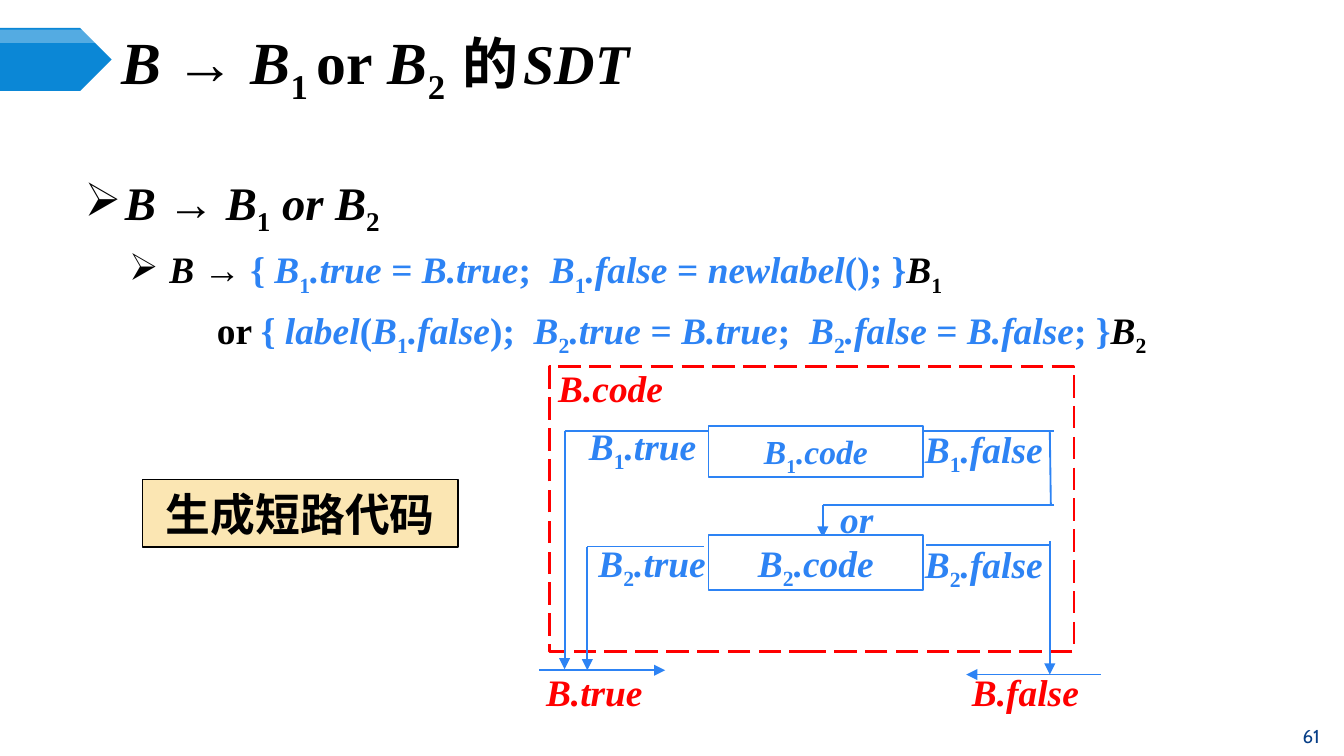
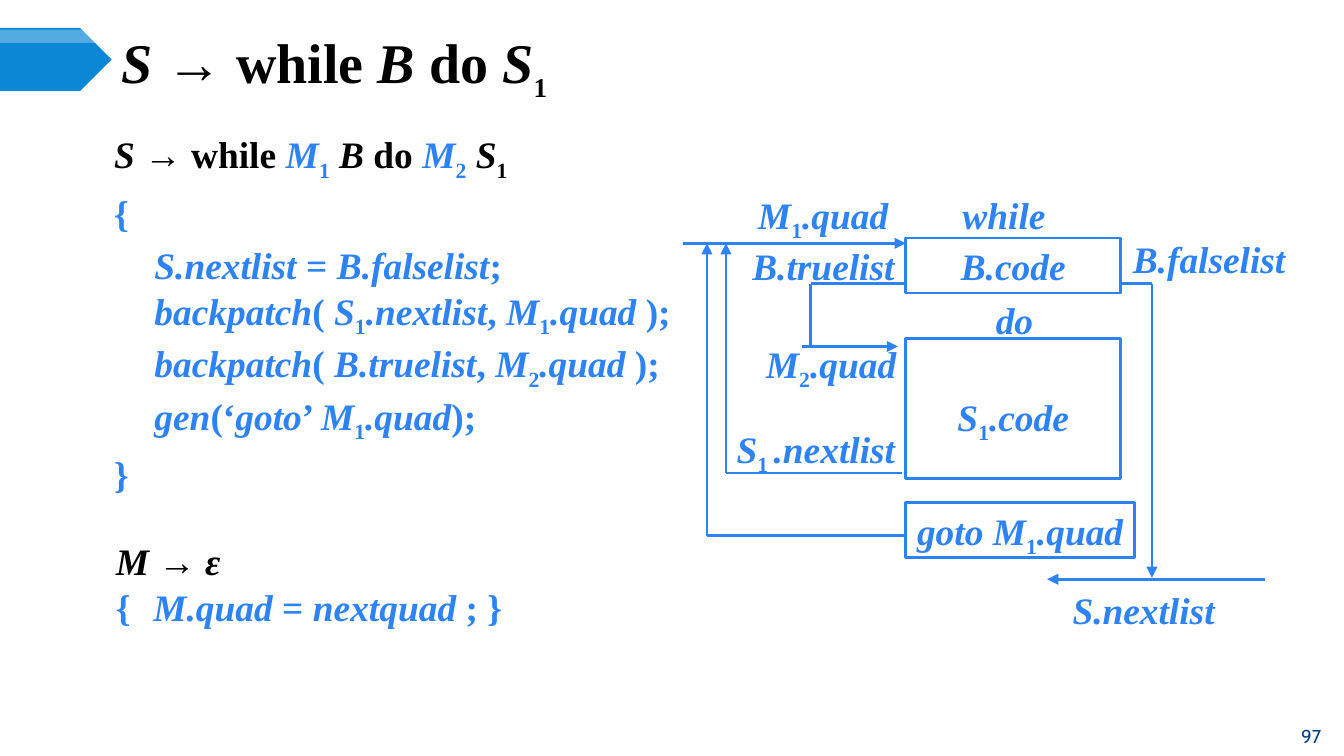
from lxml import etree
from pptx import Presentation
from pptx.dml.color import RGBColor
from pptx.enum.dml import MSO_LINE
from pptx.enum.shapes import MSO_CONNECTOR, MSO_SHAPE
from pptx.enum.text import MSO_ANCHOR, MSO_AUTO_SIZE, PP_ALIGN
from pptx.oxml.ns import qn
from pptx.util import Cm, Pt

LEFT, CENTER, RIGHT, JUSTIFY = PP_ALIGN.LEFT, PP_ALIGN.CENTER, PP_ALIGN.RIGHT, PP_ALIGN.JUSTIFY
TOP, MIDDLE = MSO_ANCHOR.TOP, MSO_ANCHOR.MIDDLE
NO_AUTOSIZE = MSO_AUTO_SIZE.NONE
RECTANGLE, PENTAGON = MSO_SHAPE.RECTANGLE, MSO_SHAPE.PENTAGON
STRAIGHT = MSO_CONNECTOR.STRAIGHT
LONG_DASH = MSO_LINE.LONG_DASH

SERIF, SANS, CJK, FOOTER = "Times New Roman", "Arial", "Noto Sans CJK SC", "Cabin"
COLORS = {
    "text": "000000",
    "accent": "2D83F4",
    "exit": "FF0000",
    "band": "0B87D6",
    "white": "FFFFFF",
    "callout": "FBE6B3",
    "page": "073E87",
}


def rgb(name):
    return RGBColor.from_string(COLORS[name])


def write(paragraph, markup, size, color="text", font=SERIF, bold=True, align=LEFT, drop=25):
    """Write markup where / toggles italic, ~ subscript and | the accent colour."""
    paragraph.alignment = align
    paragraph.font.name = font
    paragraph.font.size = Pt(size)
    paragraph.font.bold = bold
    paragraph.font.color.rgb = rgb(color)
    active = {"/": False, "~": False, "|": False}
    piece = ""

    def flush():
        if not piece:
            return
        run = paragraph.add_run()
        run.text = piece
        if active["/"]:
            run.font.italic = True
        if active["~"]:
            run._r.get_or_add_rPr().set("baseline", str(-1000 * drop))
        if active["|"]:
            run.font.color.rgb = rgb("accent")

    for char in markup:
        if char in active:
            flush()
            piece = ""
            active[char] = not active[char]
        else:
            piece += char
    flush()


def indent(paragraph, margin, first=0.0, bullet=None):
    properties = paragraph._p.get_or_add_pPr()
    properties.set("marL", str(Cm(margin)))
    properties.set("indent", str(Cm(first)))
    if bullet:
        etree.SubElement(properties, qn("a:buChar")).set("char", bullet)


def set_frame(shape, anchor=TOP, top_inset=0.1):
    frame = shape.text_frame
    frame.word_wrap = True
    frame.auto_size = NO_AUTOSIZE
    frame.vertical_anchor = anchor
    frame.margin_left = frame.margin_right = Cm(0.18)
    frame.margin_top, frame.margin_bottom = Cm(top_inset), Cm(0.1)
    return frame


def add_text_frame(slide, box, anchor=TOP):
    return set_frame(slide.shapes.add_textbox(*map(Cm, box)), anchor)


def add_block(slide, kind, box, fill=None, line=None, width=1.0):
    block = slide.shapes.add_shape(kind, *map(Cm, box))
    block.shadow.inherit = False
    if fill:
        block.fill.solid()
        block.fill.fore_color.rgb = rgb(fill)
    else:
        block.fill.background()
    if line:
        block.line.color.rgb = rgb(line)
        block.line.width = Pt(width)
    else:
        block.line.fill.background()
    return block


def add_base(prs, title_markup, title_size, page, drop=25):
    """Add a slide with its band, title and page number; return slide and title paragraph."""
    slide = prs.slides.add_slide(prs.slide_layouts[5])
    add_block(slide, PENTAGON, (0, 0.53, 2.11, 1.19), "band")
    gloss = add_block(slide, PENTAGON, (0, 0.56, 2.11, 0.25), "white")
    tint = gloss._element.spPr.find(qn("a:solidFill"))[0]
    etree.SubElement(tint, qn("a:alpha")).set("val", "30000")

    title = slide.shapes.title
    title.left, title.top, title.width, title.height = map(Cm, (2.11, 0.74, 22.02, 0.99))
    heading = set_frame(title, MIDDLE).paragraphs[0]
    write(heading, title_markup, title_size, drop=drop)

    number = add_text_frame(slide, (24.21, 13.54, 1.14, 0.76), MIDDLE)
    write(number.paragraphs[0], page, 10, "page", FOOTER, False, CENTER)
    return slide, heading


def add_flow(slide, origin, lines, labels, nodes, width):
    """Draw flow lines, labels and code boxes at cm offsets from the origin."""
    left, top = origin
    for x1, y1, x2, y2, arrow in lines:
        ends = (left + x1, top + y1, left + x2, top + y2)
        flow = slide.shapes.add_connector(STRAIGHT, *map(Cm, ends))
        flow.line.color.rgb = rgb("accent")
        flow.line.width = Pt(width)
        if arrow:
            etree.SubElement(flow.line._get_or_add_ln(), qn("a:tailEnd")).set("type", "triangle")
        etree.SubElement(flow._element.spPr, qn("a:effectLst"))
    for markup, x, y, w, color, align in labels:
        frame = add_text_frame(slide, (left + x, top + y, w, 1.04))
        write(frame.paragraphs[0], markup, 20, color, align=align)
    for markup, x, y, w, h, size, inset in nodes:
        node = add_block(slide, RECTANGLE, (left + x, top + y, w, h), "white", "accent", width)
        frame = set_frame(node, top_inset=inset)
        write(frame.paragraphs[0], markup, size, "accent", align=CENTER)


def add_or_rules(slide, box):
    rules = [
        ("/B /→/ B/~1~/ or B/~2~", 25, 0.76, -0.76, "➢"),
        ("/B/ → |{ /B/~1~/.true /= /B.true/;  /B/~1~/.false /= /newlabel/(); }|/B/~1~",
         20, 1.6, -0.76, "➢"),
        ("or |{ /label/(/B/~1~/.false/);  /B/~2~/.true /= /B.true/;  "
         "/B/~2~/.false /= /B.false/; }|/B/~2~", 20, 2.5, 0, None),
    ]
    frame = add_text_frame(slide, box)
    for i, (markup, size, margin, first, bullet) in enumerate(rules):
        paragraph = frame.add_paragraph() if i else frame.paragraphs[0]
        if i:
            paragraph.space_before = Pt(5)
        indent(paragraph, margin, first, bullet)
        write(paragraph, markup, size)


def add_or_diagram(slide, box):
    true_exit, false_exit, inner_true = 0.28, 9.45, 0.71
    b1_y, or_y, b2_y, true_y, false_y = 1.22, 2.62, 3.4, 5.74, 5.82
    or_x = 5.16
    lines = [
        (-0.2, true_y, 2.18, true_y, True),
        (or_x, or_y, or_x, 3.23, True),
        (inner_true, b2_y, 2.92, b2_y, False),
        (9.53, or_y, or_x, or_y, False),
        (9.47, or_y, false_exit, b1_y, False),
        (true_exit, b1_y, 3.3, b1_y, False),
        (7.11, 3.38, false_exit, 3.38, False),
        (inner_true, b2_y, inner_true, true_y, True),
        (6.96, b1_y, 9.53, b1_y, False),
        (true_exit, b1_y, true_exit, 5.72, True),
        (10.41, false_y, 7.87, false_y, True),
        (false_exit, 3.3, false_exit, false_y, True),
    ]
    labels = [
        ("/B.code/", -0.02, -0.13, 2.5, "exit", LEFT),
        ("/B/~1~/.true/", 0.56, 0.97, 2.67, "accent", LEFT),
        ("/B/~1~/.false/", 6.91, 1.02, 3.25, "accent", LEFT),
        ("/or/", 5.31, 2.34, 1.04, "accent", LEFT),
        ("/B/~2~/.true/", 0.74, 3.18, 3.28, "accent", LEFT),
        ("/B/~2~/.false/", 6.91, 3.2, 3.61, "accent", LEFT),
        ("/B.true/", -0.25, 5.61, 2.84, "exit", LEFT),
        ("/B.false/", 7.8, 5.61, 3.3, "exit", LEFT),
    ]
    nodes = [
        ("/B/~1~/.code/", 3, 1.12, 4.06, 0.97, 18, 0.1),
        ("/B/~2~/.code/", 3, 3.18, 4.06, 1.04, 20, 0.1),
    ]
    outline = add_block(slide, RECTANGLE, box, None, "exit", 1.5)
    outline.line.dash_style = LONG_DASH
    add_flow(slide, box[:2], lines, labels, nodes, 1)


def add_callout(slide, box):
    callout = add_block(slide, RECTANGLE, box, "callout", "text", 0.75)
    frame = set_frame(callout, MIDDLE)
    write(frame.paragraphs[0], "生成短路代码", 24, font=SANS, align=CENTER)


def build_or_slide(prs):
    slide, heading = add_base(prs, "/B /→/ B/~1 ~or/ B/~2  ~", 32, "61")
    particle = heading.add_run()
    particle.text = "的"
    particle.font.name = CJK
    particle.font.size = Pt(30)
    particle._r.get_or_add_rPr().set("spc", "300")
    sdt = heading.add_run()
    sdt.text = "SDT"
    sdt.font.size = Pt(30)
    sdt.font.italic = True

    add_or_rules(slide, (1.42, 3.18, 21.87, 8.97))
    add_or_diagram(slide, (10.39, 6.93, 9.91, 5.38))
    add_callout(slide, (2.69, 9.07, 5.97, 1.27))


def add_rule_lines(slide, box, rules, spacing, hang):
    """Write (markup, colour, drop, nested) rules with exact line spacing in points."""
    frame = add_text_frame(slide, box)
    for i, (markup, color, drop, nested) in enumerate(rules):
        paragraph = frame.add_paragraph() if i else frame.paragraphs[0]
        indent(paragraph, hang, 0 if nested else -hang)
        paragraph.line_spacing = Pt(spacing)
        write(paragraph, markup, 20, color, align=JUSTIFY, drop=drop)


def add_while_diagram(slide, origin):
    entry_y, true_y, m2_y, next_y, goto_y, exit_y = 1.07, 1.83, 3.02, 5.41, 6.6, 7.42
    goto_x, next_x, true_x, false_x = 0.66, 1.02, 2.62, 9.07
    lines = [
        (2.46, m2_y, 4.27, m2_y, True),
        (false_x, true_y, 8.15, true_y, False),
        (11.2, exit_y, 7.09, exit_y, True),
        (0.2, entry_y, 4.42, entry_y, True),
        (next_x, next_y, 4.34, next_y, False),
        (true_x, m2_y, true_x, true_y, False),
        (true_x, true_y, 4.57, true_y, False),
        (4.7, goto_y, goto_x, goto_y, False),
        (goto_x, goto_y, goto_x, entry_y, True),
        (next_x, next_y, next_x, entry_y, True),
        (false_x, true_y, false_x, 7.39, True),
    ]
    labels = [
        ("/M/~1~/.quad/", 0, 0, 4.27, "accent", RIGHT),
        ("/while/", 5.31, 0, 2.26, "accent", LEFT),
        ("/B.truelist/", 0.99, 0.97, 3.4, "accent", RIGHT),
        ("/B.falselist/", 8.53, 0.84, 4.1, "accent", LEFT),
        ("/do/", 5.94, 1.98, 1.19, "accent", LEFT),
        ("/M/~2~/.quad/", 1.52, 2.82, 2.9, "accent", RIGHT),
        ("/S/~1 ~/.nextlist/", 0.79, 4.42, 3.61, "accent", RIGHT),
        ("/S.nextlist/", 7.39, 7.47, 3.7, "accent", LEFT),
    ]
    nodes = [
        ("/B.code/", 4.42, 0.97, 4.06, 1.04, 20, 0.1),
        ("/S/~1~/.code/", 4.42, 2.87, 4.06, 2.64, 20, 1.05),
        ("/goto M/~1~/.quad/", 4.42, 5.97, 4.32, 1.04, 20, 0.1),
    ]
    add_flow(slide, origin, lines, labels, nodes, 1.5)


def build_while_slide(prs):
    slide, heading = add_base(prs, "/S /→ while /B/ do /S/~1~", 30, "97", drop=30)
    heading.runs[-1].font.size = Pt(25)
    backpatching = [
        ("/S /→ while |/M/~1~|/ B/ do |/M/~2~|/ S/~1~", "text", 25, False),
        ("{", "accent", 25, False),
        ("/S.nextlist/ = /B.falselist/;", "accent", 25, True),
        ("/backpatch/( /S/~1~/.nextlist/, /M/~1~/.quad/ );", "accent", 25, True),
        ("/backpatch/( /B.truelist/, /M/~2~/.quad/ );", "accent", 25, True),
        ("/gen/(‘/goto/’ /M/~1~/.quad/);", "accent", 25, True),
        ("}", "accent", 25, False),
    ]
    marker = [
        ("/M /→ /ε/", "text", 25, False),
        ("{\t/M.quad/ = /nextquad /; }", "accent", 25, False),
    ]
    add_rule_lines(slide, (1.98, 2.36, 16.46, 8.97), backpatching, 28, 0.76)
    add_while_diagram(slide, (12.7, 3.53))
    add_rule_lines(slide, (2.01, 10.03, 9.37, 1.96), marker, 25, 0.71)


def main():
    prs = Presentation()
    prs.slide_width, prs.slide_height = Cm(25.4), Cm(14.29)
    build_or_slide(prs)
    build_while_slide(prs)
    prs.save("out.pptx")


if __name__ == "__main__":
    main()
